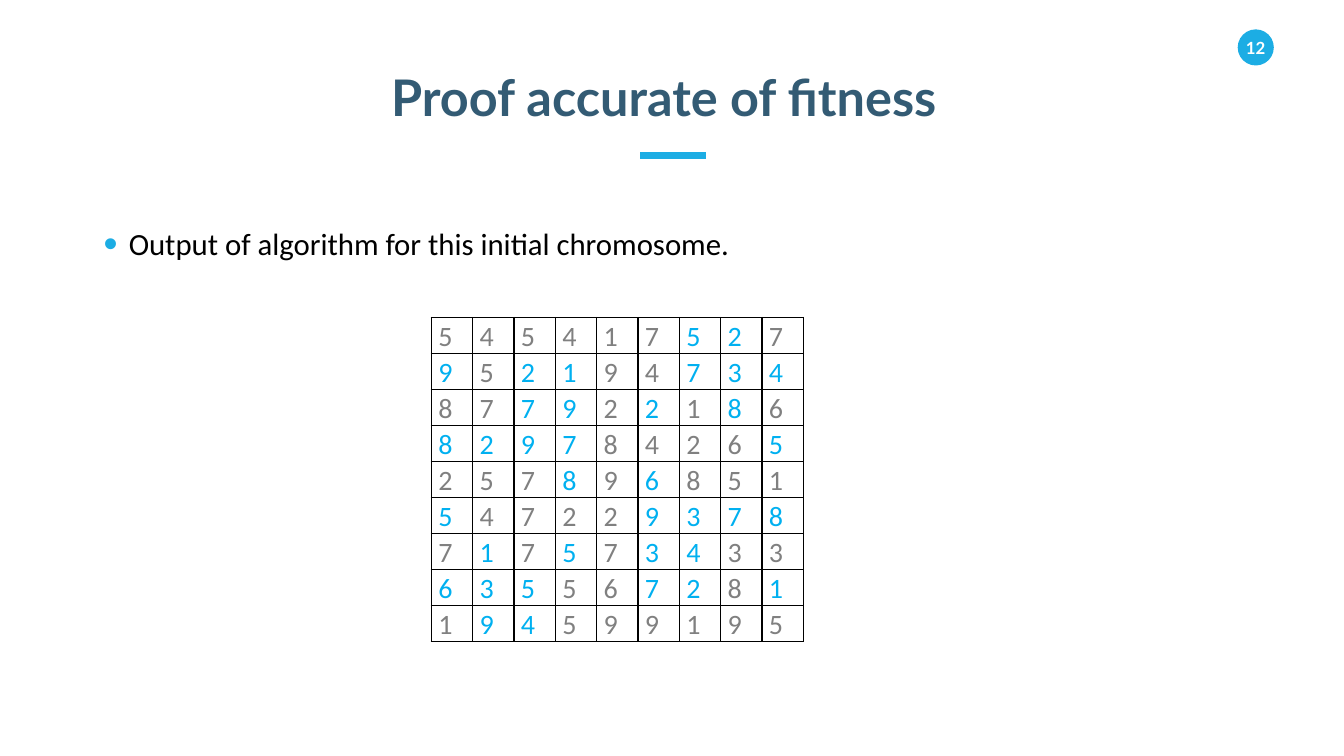
from dataclasses import dataclass

from lxml import etree
from pptx import Presentation, util as u
from pptx.dml.color import RGBColor
from pptx.enum import shapes, text
from pptx.oxml.ns import qn

COLUMNS, ROWS = 32, 18

# One string per row of the board; a star marks a digit set by the algorithm.
BOARD = [row.split() for row in (
    "5 4 5 4 1 7 5* 2* 7",
    "9* 5 2* 1* 9 4 7* 3* 4*",
    "8 7 7* 9* 2 2* 1 8* 6",
    "8* 2* 9* 7* 8 4 2 6 5*",
    "2 5 7 8* 9 6* 8 5 1",
    "5* 4 7 2 2 9* 3* 7* 8*",
    "7 1* 7 5* 7 3* 4* 3 3",
    "6* 3* 5* 5 6 7* 2* 8 1*",
    "1 9* 4* 5 9 9 1 9 5",
)]


@dataclass(frozen=True)
class Theme:
    heading_font: str = "Lato"
    body_font: str = "Calibri"
    accent: str = "1CADE4"
    heading: str = "335B74"
    ink: str = "000000"
    paper: str = "FFFFFF"
    start_digit: str = "808080"
    solved_digit: str = "00B0F0"
    title_size: int = 36
    body_size: int = 22
    digit_size: int = 20
    page_size: int = 12
    rule_width: float = 4.5
    border_width: int = 1


def add_xml(parent, tag, **attributes):
    return etree.SubElement(parent, qn(tag), attributes)


class SlideBuilder:
    """Places elements on a grid of COLUMNS by ROWS."""

    def __init__(self, deck, theme):
        self.theme = theme
        self.column = deck.slide_width / COLUMNS
        self.row = deck.slide_height / ROWS
        self.slide = deck.slides.add_slide(deck.slide_layouts[5])

    def place(self, left, top, width, height):
        return (round(left * self.column), round(top * self.row),
                round(width * self.column), round(height * self.row))

    def add_words(self, paragraph, words, size, color, font, bold=False):
        run = paragraph.add_run()
        run.text = words
        run.font.size = u.Pt(size)
        run.font.name = font
        run.font.bold = bold
        run.font.color.rgb = RGBColor.from_string(color)

    def title(self, words, *area):
        heading = self.slide.shapes.title
        heading.left, heading.top, heading.width, heading.height = self.place(*area)
        frame = heading.text_frame
        frame.word_wrap = False
        frame.auto_size = text.MSO_AUTO_SIZE.NONE
        frame.vertical_anchor = text.MSO_ANCHOR.TOP
        paragraph = frame.paragraphs[0]
        paragraph.alignment = text.PP_ALIGN.LEFT
        self.add_words(paragraph, words, self.theme.title_size, self.theme.heading,
                       self.theme.heading_font, bold=True)

    def page_badge(self, number, *area):
        badge = self.slide.shapes.add_shape(shapes.MSO_SHAPE.OVAL, *self.place(*area))
        badge.shadow.inherit = False
        badge.fill.solid()
        badge.fill.fore_color.rgb = RGBColor.from_string(self.theme.accent)
        badge.line.fill.background()
        frame = badge.text_frame
        frame.word_wrap = False
        frame.margin_left = frame.margin_right = 0
        frame.margin_top = frame.margin_bottom = 0
        frame.vertical_anchor = text.MSO_ANCHOR.MIDDLE
        paragraph = frame.paragraphs[0]
        paragraph.alignment = text.PP_ALIGN.CENTER
        self.add_words(paragraph, number, self.theme.page_size, self.theme.paper,
                       self.theme.heading_font, bold=True)

    def rule(self, left, right, top):
        x, y, width, _ = self.place(left, top, right - left, 0)
        line = self.slide.shapes.add_connector(
            shapes.MSO_CONNECTOR.STRAIGHT, x, y, x + width, y)
        line.line.color.rgb = RGBColor.from_string(self.theme.accent)
        line.line.width = u.Pt(self.theme.rule_width)
        add_xml(line._element.spPr, "a:effectLst")

    def bullet(self, words, *area):
        frame = self.slide.shapes.add_textbox(*self.place(*area)).text_frame
        frame.word_wrap = True
        paragraph = frame.paragraphs[0]
        paragraph.line_spacing = 1.5
        paragraph.space_before = u.Pt(10)
        properties = paragraph._p.get_or_add_pPr()
        indent = u.Inches(0.25)
        properties.set("marL", str(indent))
        properties.set("indent", str(-indent))
        add_xml(add_xml(properties, "a:buClr"), "a:srgbClr", val=self.theme.accent)
        add_xml(properties, "a:buSzPct", val="130000")
        add_xml(properties, "a:buFont", typeface="Arial")
        add_xml(properties, "a:buChar", char="•")
        self.add_words(paragraph, words, self.theme.body_size, self.theme.ink,
                       self.theme.body_font)

    def board(self, digits, *area):
        left, top, width, height = self.place(*area)
        table = self.slide.shapes.add_table(
            len(digits), len(digits[0]), left, top, width, height).table
        table.first_row = table.horz_banding = False
        for cells, values in zip(table.rows, digits):
            for cell, value in zip(cells.cells, values):
                self.board_cell(cell, value)

    def board_cell(self, cell, value):
        cell.margin_left = cell.margin_right = u.Inches(0.07)
        cell.margin_top = cell.margin_bottom = 0
        for side in ("a:lnL", "a:lnR", "a:lnT", "a:lnB"):
            border = add_xml(cell._tc.get_or_add_tcPr(), side,
                             w=str(u.Pt(self.theme.border_width)))
            add_xml(add_xml(border, "a:solidFill"), "a:srgbClr", val=self.theme.ink)
        cell.fill.background()
        paragraph = cell.text_frame.paragraphs[0]
        paragraph.line_spacing = 1.07
        color = self.theme.solved_digit if "*" in value else self.theme.start_digit
        self.add_words(paragraph, value.rstrip("*"), self.theme.digit_size, color,
                       self.theme.body_font)


def main():
    deck = Presentation()
    deck.slide_width, deck.slide_height = u.Inches(13.33), u.Inches(7.5)
    page = SlideBuilder(deck, Theme())
    page.page_badge("12", 29.47, 0.7, 0.86, 0.86)
    page.rule(15.24, 16.8, 3.7)
    page.title("Proof accurate of fitness", 9.07, 1.46, 14.35, 1.7)
    page.bullet("Output of algorithm for this initial chromosome.",
                2.23, 4.8, 27.6, 11.42)
    page.board(BOARD, 10.27, 7.56, 8.86, 7.73)
    deck.save("out.pptx")


if __name__ == "__main__":
    main()
